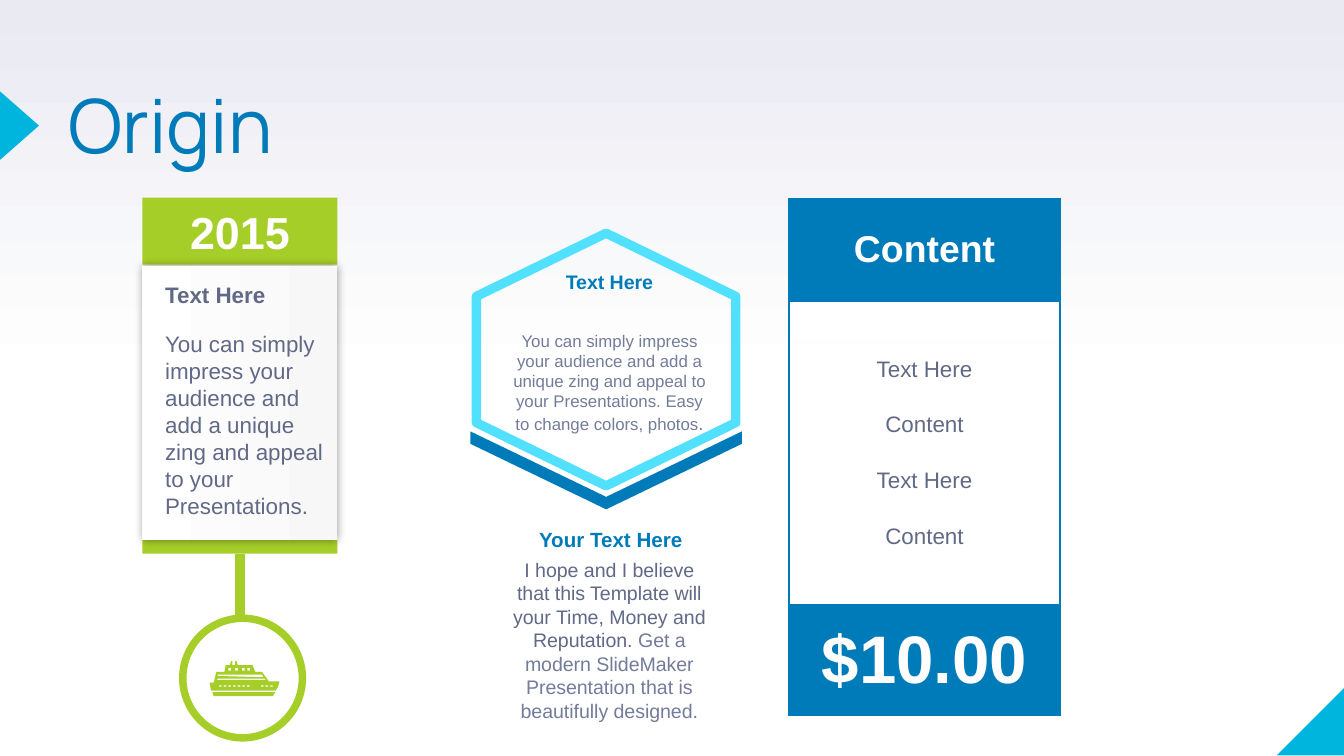
from collections import namedtuple
from copy import deepcopy
from dataclasses import dataclass

from lxml.etree import SubElement
from pptx import Presentation
from pptx.dml.color import RGBColor
from pptx.enum.shapes import MSO_CONNECTOR, MSO_SHAPE
from pptx.enum.text import MSO_ANCHOR, MSO_AUTO_SIZE, PP_ALIGN
from pptx.oxml.ns import qn
from pptx.util import Inches, Pt

Box = namedtuple("Box", "left top width height")


@dataclass(frozen=True)
class Theme:
    """Colours, fonts and type sizes of the slide."""
    blue: str = "007BB9"
    cyan: str = "00B5DD"
    sky: str = "52E0FF"
    green: str = "A6CE28"
    ink: str = "616986"
    muted: str = "737C99"
    white: str = "FFFFFF"
    pearl: str = "F7F7F7"
    lavender: str = "E9EAF2"
    black: str = "000000"
    heading_font: str = "Manrope"
    body_font: str = "Arial"
    title: float = 40
    price: float = 36
    year: float = 24
    header: float = 20
    body: float = 12
    label: float = 11
    small: float = 10.5
    stop: float = 10
    tiny: float = 9


THEME = Theme()


def rgb(color):
    """Turn a hex string into a colour."""
    return RGBColor.from_string(color)


def place(box, left, top, width, height):
    """Return lengths for a part offset from the corner of its region."""
    return [Inches(value) for value in (box.left + left, box.top + top, width, height)]


def style_span(span, size, color, bold=False, font=THEME.body_font):
    """Format one run."""
    span.font.name, span.font.size, span.font.bold = font, Pt(size), bold
    span.font.color.rgb = rgb(color)


def paint(shape, fill=None, line=None, weight=1):
    """Set fill and outline and remove the shadow."""
    shape.shadow.inherit = False
    if fill:
        shape.fill.solid()
        shape.fill.fore_color.rgb = rgb(fill)
    else:
        shape.fill.background()
    if line:
        shape.line.color.rgb = rgb(line)
        shape.line.width = Pt(weight)
    else:
        shape.line.fill.background()


def add_figure(page, kind, lengths, **look):
    """Add a painted preset shape."""
    shape = page.shapes.add_shape(kind, *lengths)
    paint(shape, **look)
    return shape


def add_text(page, lengths, pieces, bold=False, align=PP_ALIGN.CENTER):
    """Add a wrapped text box of (text, size, colour) pieces."""
    frame = page.shapes.add_textbox(*lengths).text_frame
    frame.word_wrap = True
    frame.auto_size = MSO_AUTO_SIZE.SHAPE_TO_FIT_TEXT
    para = frame.paragraphs[0]
    para.alignment = align
    for text, size, color in pieces:
        span = para.add_run()
        span.text = text
        style_span(span, size, color, bold)


def set_gradient(fill, start, end, angle):
    """Give a fill a two-stop linear gradient."""
    fill.gradient()
    fill.gradient_angle = angle
    for stop, color, position in zip(fill.gradient_stops, (start, end), (0, 1)):
        stop.color.rgb = rgb(color)
        stop.position = position


def set_backdrop(page):
    """Fade the background from white to lavender and add the corner marks."""
    set_gradient(page.background.fill, THEME.white, THEME.lavender, 90)
    stops = page.element.find(".//" + qn("a:gsLst"))
    middle = deepcopy(stops[0])
    middle.set("pos", "50000")
    stops.insert(1, middle)
    slide_box = Box(0, 0, 10, 5.62)
    corner = add_figure(page, MSO_SHAPE.RIGHT_TRIANGLE, place(slide_box, 9.5, 5.11, 0.51, 0.51), fill=THEME.cyan)
    corner.rotation = 270
    marker = add_figure(page, MSO_SHAPE.ISOSCELES_TRIANGLE, place(slide_box, -0.11, 0.79, 0.51, 0.29), fill=THEME.cyan)
    marker.rotation = 90


def set_title(page, box):
    """Move and format the title."""
    title = page.shapes.title
    title.left, title.top, title.width, title.height = place(box, 0, 0, box.width, box.height)
    frame = title.text_frame
    frame.text = "Origin"
    frame.margin_left = frame.margin_right = frame.margin_top = frame.margin_bottom = 0
    frame.vertical_anchor = MSO_ANCHOR.MIDDLE
    frame.auto_size = MSO_AUTO_SIZE.NONE
    para = frame.paragraphs[0]
    para.alignment, para.line_spacing = PP_ALIGN.LEFT, 0.8
    style_span(para.runs[0], THEME.title, THEME.blue, font=THEME.heading_font)


def rectangle(left, top, right, bottom):
    """Return the corners of a rectangle."""
    return [(left, top), (right, top), (right, bottom), (left, bottom)]


def add_ship(page, box):
    """Draw a ship with cut-out windows."""
    hull = [(0.19, 0), (0.2, 0), (0.21, 0.03), (0.32, 0.03), (0.34, 0.08), (0.39, 0.08), (0.44, 0.15),
            (0.52, 0.15), (0.51, 0.19), (0.49, 0.22), (0.01, 0.22), (0, 0.16), (0.03, 0.16), (0.05, 0.08),
            (0.11, 0.08), (0.12, 0.03), (0.15, 0.03), (0.16, 0), (0.17, 0), (0.17, 0.03), (0.19, 0.03)]
    keel = [(0.02, 0.23), (0.49, 0.23), (0.47, 0.26), (0.03, 0.26)]
    decks = [[(0.06, 0.13), (0.05, 0.14), (0.42, 0.14), (0.41, 0.13)],
             [(0.06, 0.1), (0.06, 0.11), (0.4, 0.12), (0.39, 0.1)]]
    windows = [rectangle(left, 0.05, left + 0.02, 0.07) for left in (0.14, 0.19, 0.24, 0.28)]
    step = 0.38 / 11
    portholes = [rectangle(0.07 + step * index, 0.18, 0.09 + step * index, 0.19)
                 for index in range(12) if index not in (7, 8)]
    builder = None
    for outline in [hull, keel, *decks, *windows, *portholes]:
        points = [(Inches(box.left + x), Inches(box.top + y)) for x, y in outline]
        if builder is None:
            builder = page.shapes.build_freeform(*points[0])
        else:
            builder.move_to(*points[0])
        builder.add_line_segments(points[1:], close=True)
    paint(builder.convert_to_shape(), fill=THEME.green)


def add_year_card(page, box):
    """Place the year card with its stem and ship badge."""
    base = add_figure(page, MSO_SHAPE.RECTANGLE, place(box, 0, 2.55, box.width, 0.1), fill=THEME.green)
    banner = add_figure(page, MSO_SHAPE.RECTANGLE, place(box, 0, 0, box.width, 0.5), fill=THEME.green)
    banner.text_frame.text = "2015"
    para = banner.text_frame.paragraphs[0]
    para.alignment = PP_ALIGN.CENTER
    style_span(para.runs[0], THEME.year, THEME.white, True)

    card = add_figure(page, MSO_SHAPE.RECTANGLE, place(box, 0, 0.51, box.width, 2.04))
    set_gradient(card.fill, THEME.pearl, THEME.white, 180)
    effects = card._element.spPr.find(qn("a:effectLst"))
    shadow = SubElement(effects, qn("a:outerShdw"), blurRad=str(Pt(5)), dist="0", dir="0", algn="ctr")
    color = SubElement(shadow, qn("a:srgbClr"), val=THEME.black)
    SubElement(color, qn("a:alpha"), val="40000")
    message = "You can simply impress your audience and add a unique zing and appeal to your Presentations."
    add_text(page, place(box, 0.07, 0.57, 1.39, 0.37), [("Text Here", THEME.body, THEME.ink)], True, PP_ALIGN.LEFT)
    add_text(page, place(box, 0.07, 0.94, 1.39, 1.37), [(message, THEME.body, THEME.ink)], align=PP_ALIGN.LEFT)

    center = Inches(box.left + box.width / 2)
    stem = page.shapes.add_connector(MSO_CONNECTOR.STRAIGHT, center, Inches(box.top + 2.65),
                                     center, Inches(box.top + 3.13))
    stem.begin_connect(base, 2)
    stem.line.color.rgb, stem.line.width = rgb(THEME.green), Pt(5.25)
    SubElement(stem._element.spPr, qn("a:effectLst"))
    add_figure(page, MSO_SHAPE.OVAL, place(box, 0.3, 3.13, 0.89, 0.89), fill=THEME.white, line=THEME.green, weight=4)
    add_ship(page, Box(box.left + 0.5, box.top + 3.45, 0.52, 0.27))


def add_hexagon_panel(page, box):
    """Place the hexagon, its chevron and the captions."""
    hexagon = add_figure(page, MSO_SHAPE.HEXAGON, place(box, 0.07, 0, 1.88, 1.93), line=THEME.sky, weight=5)
    hexagon.rotation = 270
    message = ("You can simply impress your audience and add a unique zing and appeal to your "
               "Presentations. Easy to change colors, photos")
    pieces = [(message, THEME.tiny, THEME.muted), (".", THEME.stop, THEME.muted)]
    add_text(page, place(box, 0.21, 0.7, 1.65, 0.88), pieces)
    add_text(page, place(box, 0.21, 0.25, 1.65, 0.36), [("Text Here", THEME.small, THEME.blue)], True)
    chevron = add_figure(page, MSO_SHAPE.CHEVRON, place(box, 0.72, 0.78, 0.58, 2.02), fill=THEME.blue)
    chevron.rotation = 90
    chevron.adjustments[0] = 0.84
    pieces = [("I hope and I believe that this Template will your Time, Money and Reputation.", THEME.small, THEME.ink),
              (" Get a modern SlideMaker Presentation that is beautifully designed.", THEME.small, THEME.muted)]
    add_text(page, place(box, 0.21, 2.39, 1.65, 1.34), pieces)
    add_text(page, place(box, 0.23, 2.16, 1.63, 0.29), [("Your Text Here", THEME.label, THEME.blue)], True)


def set_borders(cell, sides):
    """Draw blue borders on the named sides of a cell and clear the others."""
    properties = cell._tc.get_or_add_tcPr()
    for index, side in enumerate("LRTB"):
        line = SubElement(properties, qn("a:ln" + side), w=str(Pt(1.5)))
        if side in sides:
            SubElement(SubElement(line, qn("a:solidFill")), qn("a:srgbClr"), val=THEME.blue)
        else:
            SubElement(line, qn("a:noFill"))
        properties.insert(index, line)


def add_price_table(page, box):
    """Place the price table."""
    head, gap, foot = 0.76, 0.15, 0.82
    heights = [head, gap, *[(box.height - head - 2 * gap - foot) / 4] * 4, gap, foot]
    widths = [0.23, 1.54, 0.23]
    last = len(heights) - 1
    frame = page.shapes.add_table(len(heights), len(widths), *place(box, 0, 0, box.width, box.height))
    table = frame.table
    table.first_row = table.horz_banding = False
    table._tbl.tblPr.find(qn("a:tableStyleId")).text = "{2D5ABB26-0587-4C30-8999-92F81FD0307C}"
    for row, height in zip(table.rows, heights):
        row.height = Inches(height)
    for column, width in zip(table.columns, widths):
        column.width = Inches(width)

    texts = {(0, 0): ("Content", THEME.header, THEME.white, True),
             (last, 0): ("$10.00", THEME.price, THEME.white, True)}
    for row, text in enumerate(["Text Here", "Content"] * 2, start=2):
        texts[row, 1] = (text, THEME.body, THEME.ink, False)
    fills = {0: THEME.blue, 1: THEME.white, last: THEME.blue}
    across = {0: "LRTB", 1: "T", last - 1: "B", last: "LRTB"}
    for row in range(len(heights)):
        for column in range(len(widths)):
            cell = table.cell(row, column)
            if row in fills:
                cell.fill.solid()
                cell.fill.fore_color.rgb = rgb(fills[row])
            else:
                cell.fill.background()
            set_borders(cell, across.get(row, "") + {0: "L", 2: "R"}.get(column, ""))
            para = cell.text_frame.paragraphs[0]
            if (row, column) in texts:
                text, size, color, bold = texts[row, column]
                para.text = text
                para.alignment = PP_ALIGN.CENTER
                cell.vertical_anchor = MSO_ANCHOR.MIDDLE
                style_span(para.runs[0], size, color, bold)
            else:
                SubElement(para._p, qn("a:endParaRPr"), sz=str(THEME.body * 100))
    for row in (0, last):
        table.cell(row, 0).merge(table.cell(row, 2))
    for column in (0, 2):
        table.cell(2, column).merge(table.cell(5, column))


def main():
    """Build the slide and save it."""
    deck = Presentation()
    deck.slide_width = Inches(10)
    deck.slide_height = deck.slide_width * 9 // 16
    page = deck.slides.add_slide(deck.slide_layouts[5])
    set_backdrop(page)
    set_title(page, Box(0.51, 0.69, 6.17, 0.58))
    add_year_card(page, Box(1.06, 1.47, 1.45, 4.02))
    add_hexagon_panel(page, Box(3.5, 1.71, 2.02, 3.73))
    add_price_table(page, Box(5.87, 1.48, 2, 3.54))
    deck.save("out.pptx")


if __name__ == "__main__":
    main()
